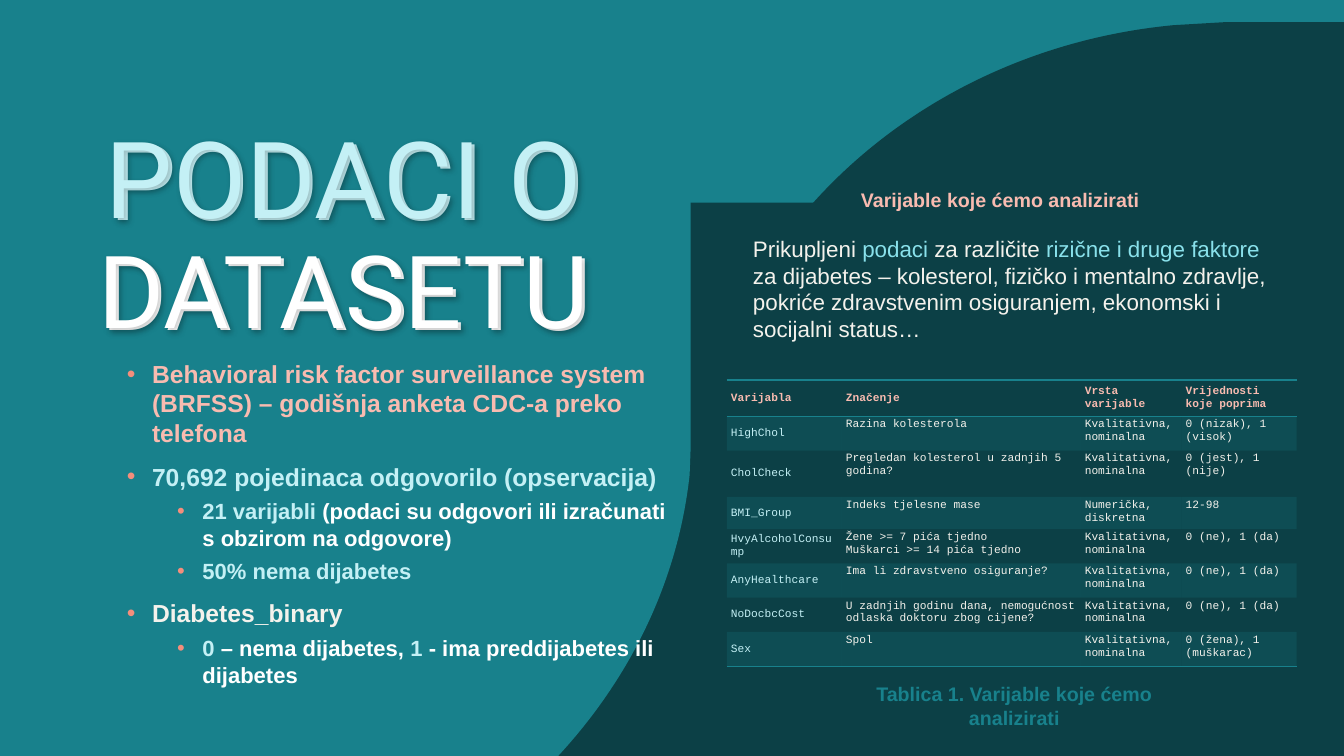
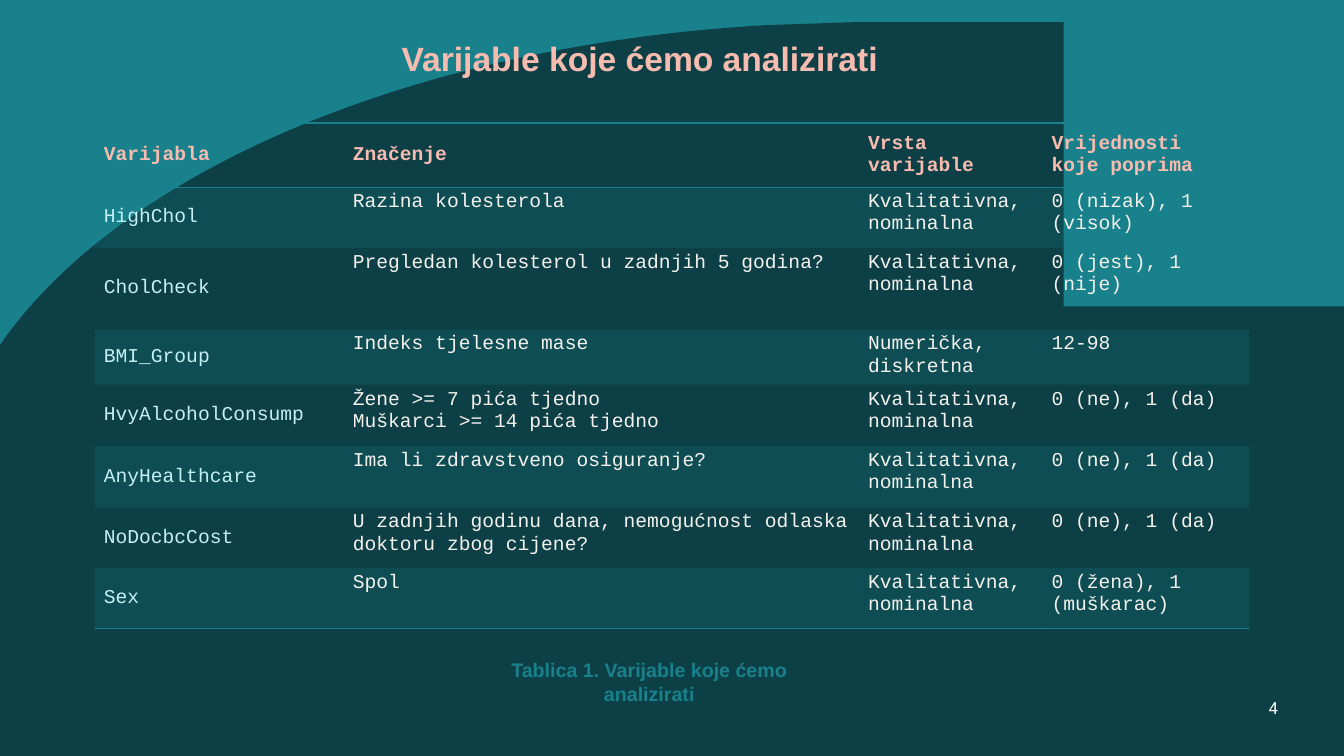
from dataclasses import dataclass
from typing import NamedTuple, Optional

from lxml.etree import SubElement
from pptx import Presentation
from pptx.dml.color import RGBColor
from pptx.enum.text import MSO_ANCHOR as Anchor, MSO_AUTO_SIZE as AutoSize, PP_ALIGN as Align
from pptx.oxml import parse_xml
from pptx.oxml.ns import nsdecls, qn
from pptx.util import Emu, Pt

PX = 9144  # EMU per px: 100 px to the inch
COLORS = {
    "teal": "18818C", "dark": "0C4046", "ice": "C4F0F5", "sky": "89E1EB",
    "pink": "F8BBB0", "coral": "F48E7C", "cream": "F4F2EC", "white": "FFFFFF",
}
BODY, DISPLAY, MONO = "Arial", "Roboto", "Courier New"
HEADING = "Varijable koje ćemo analizirati"
CAPTION = "Tablica 1. Varijable koje ćemo analizirati"
NOMINAL = "Kvalitativna, nominalna"
YES_NO = "0 (ne), 1 (da)"
ROWS = [
    ("Varijabla", "Značenje", "Vrsta varijable", "Vrijednosti koje poprima"),
    ("HighChol", "Razina kolesterola", NOMINAL, "0 (nizak), 1 (visok)"),
    ("CholCheck", "Pregledan kolesterol u zadnjih 5 godina?", NOMINAL, "0 (jest), 1 (nije)"),
    ("BMI_Group", "Indeks tjelesne mase", "Numerička, diskretna", "12-98"),
    ("HvyAlcoholConsump", "Žene >= 7 pića tjedno\nMuškarci >= 14 pića tjedno", NOMINAL, YES_NO),
    ("AnyHealthcare", "Ima li zdravstveno osiguranje?", NOMINAL, YES_NO),
    ("NoDocbcCost", "U zadnjih godinu dana, nemogućnost odlaska doktoru zbog cijene?",
     NOMINAL, YES_NO),
    ("Sex", "Spol", NOMINAL, "0 (žena), 1 (muškarac)"),
]


class Box(NamedTuple):
    left: int
    top: int
    width: int
    height: int


class Span(NamedTuple):
    text: str
    color: str
    size: float
    font: str = BODY
    bold: bool = False


@dataclass
class Para:
    spans: list[Span]
    align: Align = Align.LEFT
    spacing: Optional[float] = None
    bullet_level: Optional[int] = None


@dataclass
class Panel:
    """Corner points, closed by one cubic curve."""
    color: str
    corners: list[tuple[int, int]]
    curve: list[tuple[int, int]]


@dataclass
class TableLayout:
    box: Box
    columns: list[int]
    rows: list[int]
    size: int
    margin: tuple[int, int]


def emu(*lengths: float) -> list[Emu]:
    return [Emu(round(length * PX)) for length in lengths]


def rgb(color: str) -> RGBColor:
    return RGBColor.from_string(COLORS[color])


def write_span(para, text: str, *, color: str, size: float, font: str = BODY,
               bold: bool = False) -> None:
    span = para.add_run()
    span.text = text
    span.font.name, span.font.size, span.font.bold = font, Pt(size), bold
    span.font.color.rgb = rgb(color)


def add_bullet(para, level: int) -> None:
    para.level = level
    para.space_before = Pt(5 if level else 10)
    props = para._p.get_or_add_pPr()
    left, indent = emu(25 + 50 * level, -25)
    props.set("marL", str(left))
    props.set("indent", str(indent))
    tint = SubElement(props, qn("a:buClr"))
    SubElement(tint, qn("a:srgbClr")).set("val", COLORS["coral"])
    SubElement(props, qn("a:buFont")).set("typeface", BODY)
    SubElement(props, qn("a:buChar")).set("char", "•")


def add_text(page, box: Box, paras: list[Para], *, anchor: Anchor = Anchor.TOP,
             grow: bool = False):
    shape = page.shapes.add_textbox(*emu(*box))
    frame = shape.text_frame
    frame.word_wrap, frame.vertical_anchor = True, anchor
    frame.auto_size = AutoSize.SHAPE_TO_FIT_TEXT if grow else AutoSize.NONE
    for index, item in enumerate(paras):
        para = frame.add_paragraph() if index else frame.paragraphs[0]
        para.alignment = item.align
        if item.spacing:
            para.line_spacing = item.spacing
        if item.bullet_level is not None:
            add_bullet(para, item.bullet_level)
        for span in item.spans:
            write_span(para, **span._asdict())
    return shape


def add_label(page, box: Box, text: str, color: str, size: int) -> None:
    para = Para([Span(text, color, size, bold=True)], Align.CENTER)
    add_text(page, box, [para], grow=True)


def add_panel(page, panel: Panel) -> None:
    points = panel.corners + [panel.curve[0], panel.curve[-1]]
    start, *others = [emu(*point) for point in points]
    builder = page.shapes.build_freeform(*start, scale=1.0)
    builder.add_line_segments(others, close=True)
    shape = builder.convert_to_shape()
    # Bend the last segment into the cubic curve
    segment = shape.element.findall(".//" + qn("a:lnTo"))[-1]
    bend = parse_xml(f'<a:cubicBezTo {nsdecls("a")}/>')
    for x, y in (emu(*point) for point in panel.curve[1:]):
        point = SubElement(bend, qn("a:pt"))
        point.set("x", str(x - shape.left))
        point.set("y", str(y - shape.top))
    segment.getparent().replace(segment, bend)
    shape.shadow.inherit = False
    shape.fill.solid()
    shape.fill.fore_color.rgb = rgb(panel.color)
    shape.line.fill.background()


def add_title_shadow(shape) -> None:
    shape.element.spPr.append(parse_xml(
        f'<a:effectLst {nsdecls("a")}><a:outerShdw blurRad="50800" dist="25400" dir="2700000" '
        'algn="tl" rotWithShape="0"><a:srgbClr val="000000"><a:alpha val="20000"/>'
        '</a:srgbClr></a:outerShdw></a:effectLst>'))


def style_cell(cell, row: int) -> None:
    props = cell._tc.get_or_add_tcPr()
    if row % 2:
        cell.fill.solid()
        cell.fill.fore_color.rgb = rgb("teal")
        tint = props.find(".//" + qn("a:srgbClr"))
        SubElement(tint, qn("a:alpha")).set("val", "20000")
    else:
        cell.fill.background()
    edges = {0: ("lnT", "lnB"), len(ROWS) - 1: ("lnB",)}.get(row, ())
    for index, edge in enumerate(edges):
        props.insert(index, parse_xml(
            f'<a:{edge} {nsdecls("a")} w="12700"><a:solidFill><a:srgbClr '
            f'val="{COLORS["teal"]}"/></a:solidFill></a:{edge}>'))


def add_variables(page, layout: TableLayout) -> None:
    holder = page.shapes.add_table(len(ROWS), len(layout.columns), *emu(*layout.box))
    table = holder.table
    table.first_row = table.horz_banding = False
    # Plain table style without a grid
    style = holder.element.find(".//" + qn("a:tableStyleId"))
    style.text = "{2D5ABB26-0587-4C30-8999-92F81FD0307C}"
    for column, width in zip(table.columns, emu(*layout.columns)):
        column.width = width
    for row, height in zip(table.rows, emu(*layout.rows)):
        row.height = height
    side, end = emu(*layout.margin)
    for r, texts in enumerate(ROWS):
        for c, text in enumerate(texts):
            cell = table.cell(r, c)
            cell.margin_left = cell.margin_right = side
            cell.margin_top = cell.margin_bottom = end
            cell.vertical_anchor = Anchor.MIDDLE if r == 0 or c == 0 else Anchor.TOP
            color = "pink" if r == 0 else "ice" if c == 0 else "cream"
            for index, line in enumerate(text.split("\n")):
                frame = cell.text_frame
                para = frame.add_paragraph() if index else frame.paragraphs[0]
                write_span(para, line, color=color, size=layout.size, font=MONO, bold=r == 0)
            style_cell(cell, r)


def add_page(deck, panels: list[Panel]):
    page = deck.slides.add_slide(deck.slide_layouts[6])
    page.background.fill.solid()
    page.background.fill.fore_color.rgb = rgb("teal")
    for panel in panels:
        add_panel(page, panel)
    return page


def bullet(level: int, *parts: tuple[str, str]) -> Para:
    size = 15.7 if level else 17.6
    return Para([Span(text, color, size, bold=True) for text, color in parts],
                bullet_level=level)


def build_dataset_page(deck) -> None:
    page = add_page(deck, [
        Panel("dark", [(396, 1824), (179, 1824), (179, 201), (1333, 201), (1333, 1034)],
              [(1331, 1076), (1288, 1468), (933, 1780), (486, 1820)]),
        Panel("teal", [(91, 945), (-46, 945), (-46, -83), (685, -83), (685, 444)],
              [(684, 471), (657, 719), (432, 917), (148, 942)]),
    ])
    # Doubled title, survey facts between its two layers
    title = Para([Span("PODACI O", "ice", 76, DISPLAY), Span(" ", "ice", 72, DISPLAY),
                  Span("DATASETU", "white", 72, DISPLAY)], Align.CENTER, 0.9)
    add_title_shadow(add_text(page, Box(66, 123, 556, 246), [title]))
    add_text(page, Box(116, 351, 556, 358), [
        bullet(0, ("Behavioral risk factor surveillance system (BRFSS) – "
                   "godišnja anketa CDC-a preko telefona", "pink")),
        bullet(0, ("70,692 pojedinaca odgovorilo (opservacija)", "ice")),
        bullet(1, ("21 varijabli ", "ice"),
               ("(podaci su odgovori ili izračunati s obzirom na odgovore)", "white")),
        bullet(1, ("50% nema dijabetes", "ice")),
        bullet(0, ("Diabetes_binary", "cream")),
        bullet(1, ("0", "ice"), (" – nema dijabetes, ", "white"), ("1", "ice"),
               (" - ima preddijabetes ili dijabetes", "white")),
    ])
    add_title_shadow(add_text(page, Box(63, 121, 556, 246), [title]))
    # Variables
    add_panel(page, Panel(
        "dark", [(1215, 22), (1338, 22), (1338, 986), (685, 986), (685, 492)],
        [(687, 467), (711, 234), (911, 49), (1164, 25)]))
    add_label(page, Box(838, 182, 308, 34), HEADING, "pink", 14)
    add_variables(page, TableLayout(
        Box(721, 377, 565, 284), [114, 237, 100, 114],
        [36, 34, 46, 32, 34, 34, 34, 34], 8, (4, 2)))
    add_text(page, Box(737, 228, 534, 118), [Para([
        Span("Prikupljeni ", "cream", 16), Span("podaci", "sky", 16),
        Span(" za različite ", "cream", 16), Span("rizične i druge faktore ", "sky", 16),
        Span("za dijabetes – kolesterol, fizičko i mentalno zdravlje, pokriće zdravstvenim "
             "osiguranjem, ekonomski i socijalni status…", "cream", 16),
    ])], grow=True)
    add_label(page, Box(820, 672, 372, 34), CAPTION, "teal", 14)


def build_variables_page(deck) -> None:
    page = add_page(deck, [
        Panel("dark", [(404, 1485), (179, 1485), (179, 304), (1379, 304), (1379, 910)],
              [(1377, 940), (1332, 1226), (963, 1453), (498, 1482)]),
        Panel("teal", [(53, 931), (-46, 931), (-46, -83), (481, -83), (481, 437)],
              [(480, 464), (461, 709), (299, 904), (94, 929)]),
    ])
    # Page number
    add_text(page, Box(1192, 654, 142, 96),
             [Para([Span("4", "white", 12, DISPLAY)], Align.CENTER)], anchor=Anchor.MIDDLE)
    # Variables
    add_panel(page, Panel(
        "dark", [(847, 22), (1055, 22), (1055, 986), (-55, 986), (-55, 492)],
        [(-53, 467), (-12, 234), (330, 49), (760, 25)]))
    add_label(page, Box(362, 33, 545, 50), HEADING, "pink", 24)
    add_variables(page, TableLayout(
        Box(94, 122, 1145, 501), [247, 511, 182, 205],
        [64, 60, 81, 54, 61, 61, 60, 60], 14, (9, 4)))
    add_label(page, Box(458, 648, 372, 34), CAPTION, "teal", 14)


def main() -> None:
    deck = Presentation()
    deck.slide_width, deck.slide_height = emu(1333, 750)
    build_dataset_page(deck)
    build_variables_page(deck)
    deck.save("out.pptx")


if __name__ == "__main__":
    main()
